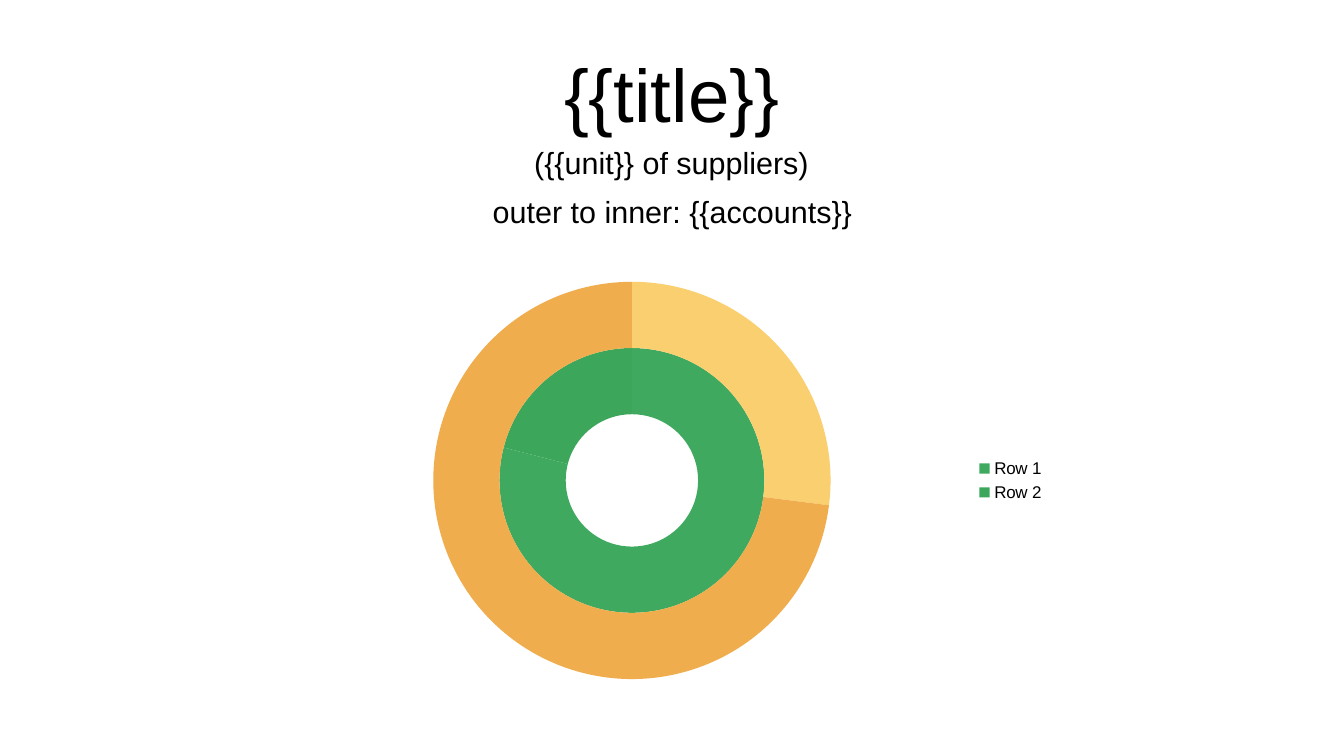
from pptx import Presentation
from pptx.chart.data import CategoryChartData
from pptx.dml.color import RGBColor
from pptx.enum.chart import XL_CHART_TYPE, XL_LEGEND_POSITION
from pptx.enum.text import MSO_ANCHOR, PP_ALIGN
from pptx.util import Emu, Pt


def px(length):
    return Emu(round(length * 914400 / 122))


def style(font, size, color="000000"):
    font.name = "Arial"
    font.size = Pt(size)
    font.color.rgb = RGBColor.from_string(color)


deck = Presentation()
deck.slide_width, deck.slide_height = px(1344), px(756)
page = deck.slides.add_slide(deck.slide_layouts[5])

title = page.shapes.title
title.left, title.top, title.width, title.height = px(67), px(48), px(1210), px(90)
frame = title.text_frame
frame.margin_left = frame.margin_top = frame.margin_right = frame.margin_bottom = 0
frame.vertical_anchor = MSO_ANCHOR.MIDDLE
frame.text = "{{title}}"
para = frame.paragraphs[0]
para.alignment = PP_ALIGN.CENTER
style(para.font, 44)

data = CategoryChartData()
data.categories = ["Row 1", "Row 2"]
data.add_series("Series 1", [79, 21])
data.add_series("Series 2", [27, 73])
chart = page.shapes.add_chart(
    XL_CHART_TYPE.DOUGHNUT, px(290), px(265), px(767), px(431), data
).chart
chart.has_title = False
style(chart.font, 10)
chart.has_legend = True
chart.legend.position = XL_LEGEND_POSITION.RIGHT
chart.legend.include_in_layout = False
style(chart.legend.font, 10)

ring_colors = [["3FA95F", "3CA65B"], ["FACF6F", "F0AD4E"]]
for ring, colors in zip(chart.plots[0].series, ring_colors):
    for index, color in enumerate(colors):
        slice_format = ring.points[index].format
        slice_format.fill.solid()
        slice_format.fill.fore_color.rgb = RGBColor.from_string(color)
        slice_format.line.fill.background()

subtitles = ["({{unit}} of suppliers)", "outer to inner: {{accounts}}"]
for row, text in enumerate(subtitles):
    box = page.shapes.add_textbox(px(67 + row), px(138 + 49 * row), px(1209), px(49))
    box.text_frame.word_wrap = True
    box.text_frame.text = text
    para = box.text_frame.paragraphs[0]
    para.alignment = PP_ALIGN.CENTER
    style(para.font, 18)

deck.save("out.pptx")
